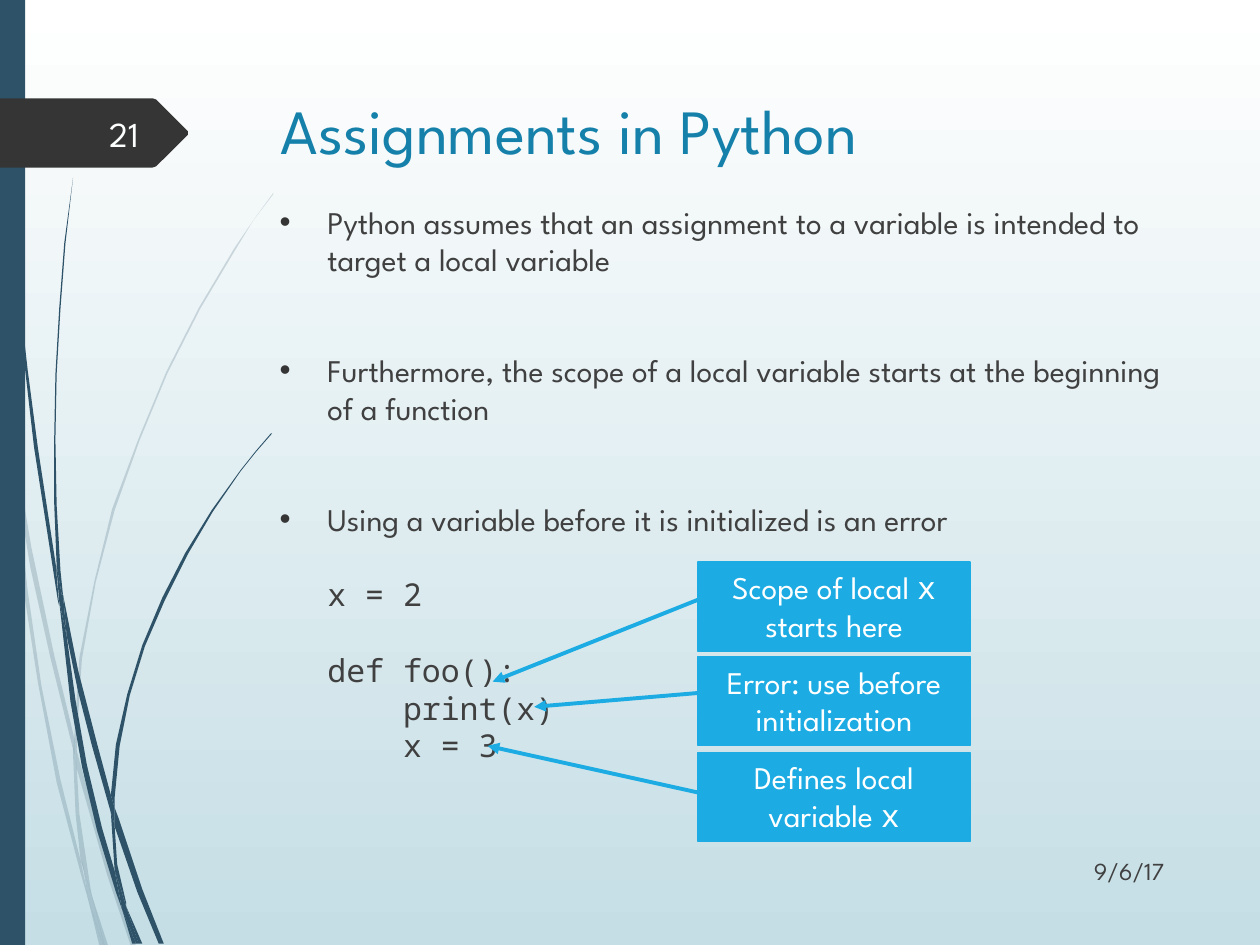
import math
import lxml.etree
import pptx
import pptx.util
import pptx.dml.color
import pptx.enum.shapes
import pptx.enum.text
import pptx.oxml.ns

PX = 9144  # EMU in one px, 100 px to the inch
SANS, MONO = "League Spartan", "Noto Sans Mono"
NAVY, SKY, GREY, DARK, WHITE = "2E5369", "1CACE3", "404040", "353535", "FFFFFF"
GAP, BREAK = 41.6, 21.6  # space before, in points

TITLE = "Assignments in Python"
BULLETS = [
    "Python assumes that an assignment to a variable is intended to target a local variable",
    "Furthermore, the scope of a local variable starts at the beginning of a function",
    "Using a variable before it is initialized is an error",
]
CODE = [("x = 2", BREAK), ("def foo():", BREAK), ("    print(x)", 0), ("    x = 3", 0)]

# Callouts: top, runs, arrow start y, arrow tip
NOTES = [
    (446, [("Scope of local ", SANS), ("x", MONO), (" starts here", SANS)], 476, (391, 541)),
    (597, [("Defines local variable ", SANS), ("x", MONO)], 629, (387, 592)),
    (521, [("Error: use before initialization", SANS)], 550, (424, 561)),
]

# Grass blades: corner points of each outline
PALE = [
    "8 350 6 322 0 282 0 299 7 344",
    "40 522 59 599 59 586 43 520 25 435 10 345 12 376 24 450",
    "64 607 61 596 61 610 85 694 104 751 108 751 88 692",
    "83 751 86 751 73 711",
    "64 683 48 619 33 545 22 469 12 376 8 350 19 470 30 541 45 621 64 693 70 714 69 707",
    "58 599 60 646 64 683 67 692 73 711 72 706 63 646 61 610 61 608",
    "61 584 65 523 76 462 91 405 111 349 133 296 159 245 187 198 201 175 217 154 217 153"
    " 201 175 186 197 158 244 132 295 110 348 89 404 75 461 63 522 59 584 59 586 61 596",
    "70 714 79 751 82 751",
    "61 608 61 610 61 596 59 586 58 599",
    "67 692 65 683 69 707 70 714 82 751 83 751 73 711",
]
DEEP = [
    "5 110 9 171 14 233 20 294 27 355 46 477 47 481 45 457 45 453 30 355 22 294 15 232"
    " 10 171 6 109 4 48 3 0 2 0 3 48",
    "73 592 88 645 88 633 88 631 77 590 62 532 50 472 53 505 62 549",
    "94 649 91 641 91 656 109 708 126 749 130 749 113 706",
    "91 691 81 657 69 607 60 556 53 505 47 477 56 557 65 608 77 659 92 708 97 722 96 717",
    "50 472 48 453 45 401 44 349 45 297 48 245 52 193 58 141 51 193 47 245 44 297 43 349"
    " 43 399 45 449 49 472",
    "110 749 113 749 100 719",
    "47 477 53 505 50 472 49 472 45 449 45 453",
    "91 633 95 592 103 552 115 513 131 476 149 440 169 406 191 374 203 359 216 344 215 344"
    " 203 358 191 373 168 405 147 439 129 474 113 512 101 551 92 591 88 631 91 641",
    "97 722 105 749 108 749",
    "88 645 91 691 96 706 100 719 100 716 93 686 91 656 90 651",
    "88 645 90 651 91 656 91 641 88 631 88 633",
    "96 706 91 691 96 717 97 722 108 749 110 749 100 719",
]
TAG = "149 107 124 132 121 133 0 133 0 78 121 78 124 79 149 104"


def hue(code):
    return pptx.dml.color.RGBColor.from_string(code)


def node(root, tag, **attrs):
    return lxml.etree.SubElement(root, pptx.oxml.ns.qn(tag), attrs)


def paint(shape, color, clear=None):
    shape.shadow.inherit = False
    shape.fill.solid()
    shape.fill.fore_color.rgb = hue(color)
    shape.line.fill.background()
    if clear:
        tint = next(shape._element.spPr.iter(pptx.oxml.ns.qn("a:srgbClr")))
        node(tint, "a:alpha", val=str(clear * 1000))


def trace(text, color, clear=None):
    nums = [int(n) * PX for n in text.split()]
    spots = list(zip(nums[::2], nums[1::2]))
    form = shapes.build_freeform(*spots[0], scale=1.0)
    form.add_line_segments(spots[1:], close=True)
    paint(form.convert_to_shape(), color, clear)


def write(para, text, size, color, font=SANS):
    run = para.add_run()
    run.text = text
    run.font.size = pptx.util.Pt(size)
    run.font.name = font
    run.font.color.rgb = hue(color)


def label(box, text="", size=18, color=GREY, align=None, anchor="TOP"):
    frame = shapes.add_textbox(*[n * PX for n in box]).text_frame
    frame.word_wrap = True
    frame.vertical_anchor = getattr(pptx.enum.text.MSO_ANCHOR, anchor)
    if text:
        para = frame.paragraphs[0]
        para.alignment = align
        write(para, text, size, color)
    return frame


deck = pptx.Presentation()
deck.slide_width, deck.slide_height = 1000 * PX, 750 * PX
slide = deck.slides.add_slide(deck.slide_layouts[6])
shapes = slide.shapes
RECT = pptx.enum.shapes.MSO_SHAPE.RECTANGLE
ALIGN = pptx.enum.text.PP_ALIGN

# Background, running from top to bottom
back = slide.background.fill
back.gradient()
back.gradient_angle = 270
for stop, color in zip(back.gradient_stops, (WHITE, "C5DEE5")):
    stop.color.rgb = hue(color)

# Grass, side bar and number tag
for blades, clear in ((PALE, 20), (DEEP, None)):
    for blade in blades:
        trace(blade, NAVY, clear)
paint(shapes.add_shape(RECT, 0, 0, 20 * PX, 750 * PX), NAVY)
trace(TAG, DARK)

# Title, bullets and code
label((213, 68, 721, 75), TITLE, 36, "1581AA")
body = label((212, 156, 721, 500))
rows = [(text, SANS, GAP if i else 0) for i, text in enumerate(BULLETS)]
rows += [(text, MONO, gap) for text, gap in CODE]
for i, (text, font, gap) in enumerate(rows):
    para = body.add_paragraph() if i else body.paragraphs[0]
    para.space_before = pptx.util.Pt(gap)
    props = para._p.get_or_add_pPr()
    props.set("marL", str(38 * PX))
    if font == SANS:
        props.set("indent", str(-38 * PX))
        node(node(props, "a:buClr"), "a:srgbClr", val=DARK)
        node(props, "a:buFont", typeface="Arial")
        node(props, "a:buChar", char="•")
    write(para, text, 18, GREY, font)

# Date and slide number
label((801, 671, 133, 40), "9/6/17", 14, GREY, ALIGN.RIGHT, "MIDDLE")
label((56, 86, 64, 40), "21", 20, "FEFFFF", ALIGN.RIGHT, "MIDDLE")

# Callouts with arrows
for top, runs, start, tip in NOTES:
    note = shapes.add_shape(RECT, 554 * PX, top * PX, 216 * PX, 71 * PX)
    paint(note, SKY)
    note.line.color.rgb = hue(SKY)
    note.line.width = pptx.util.Pt(0.75)
    frame = note.text_frame
    frame.word_wrap = True
    frame.vertical_anchor = pptx.enum.text.MSO_ANCHOR.TOP
    frame.paragraphs[0].alignment = ALIGN.CENTER
    for text, font in runs:
        write(frame.paragraphs[0], text, 18, WHITE, font)
    arrow = shapes.add_connector(pptx.enum.shapes.MSO_CONNECTOR.STRAIGHT,
                                 554 * PX, start * PX, tip[0] * PX, tip[1] * PX)
    arrow.line.color.rgb = hue(SKY)
    arrow.line.width = pptx.util.Pt(2.25)
    node(arrow.line._get_or_add_ln(), "a:tailEnd", type="triangle")
    node(arrow._element.spPr, "a:effectLst")

deck.save("out.pptx")
